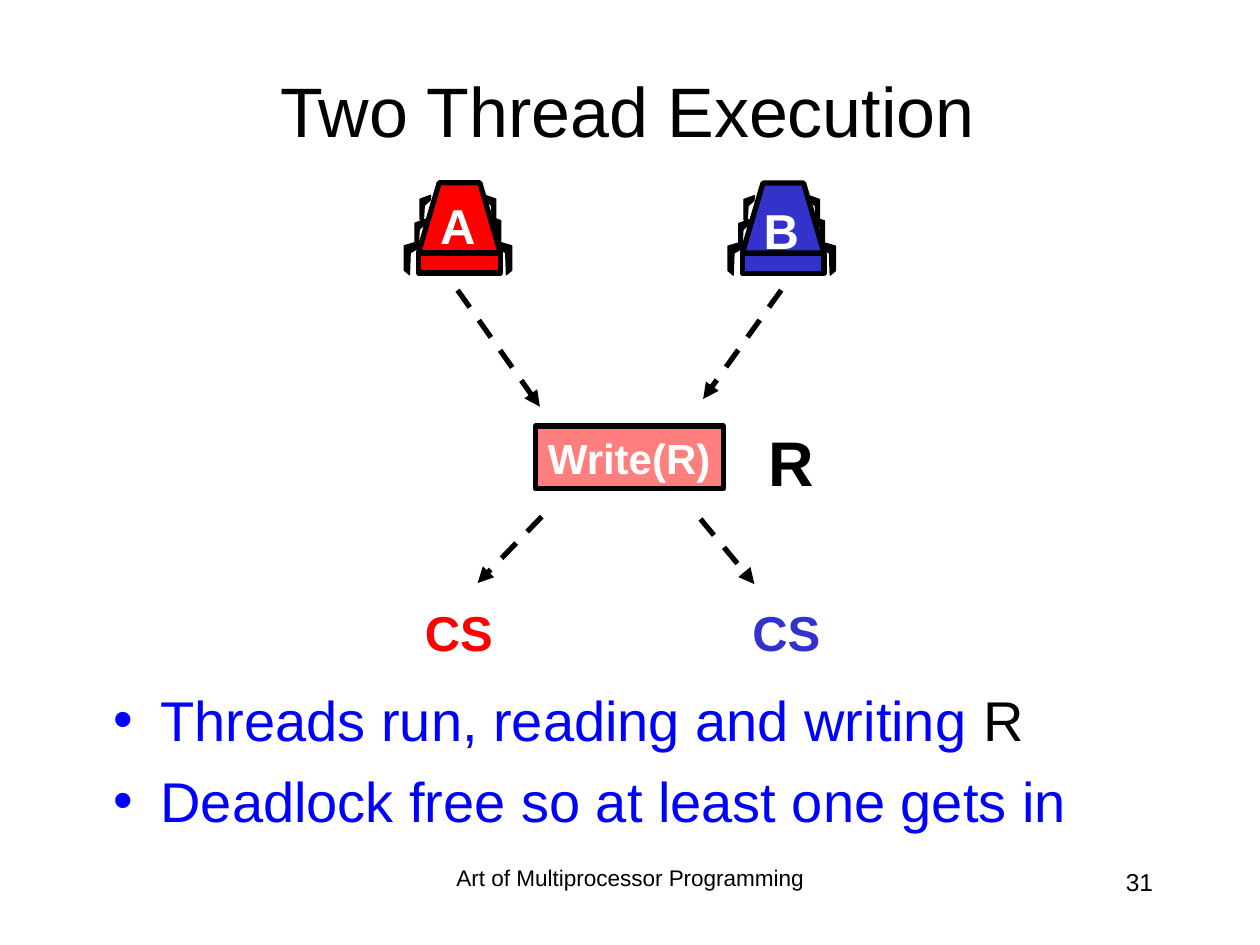
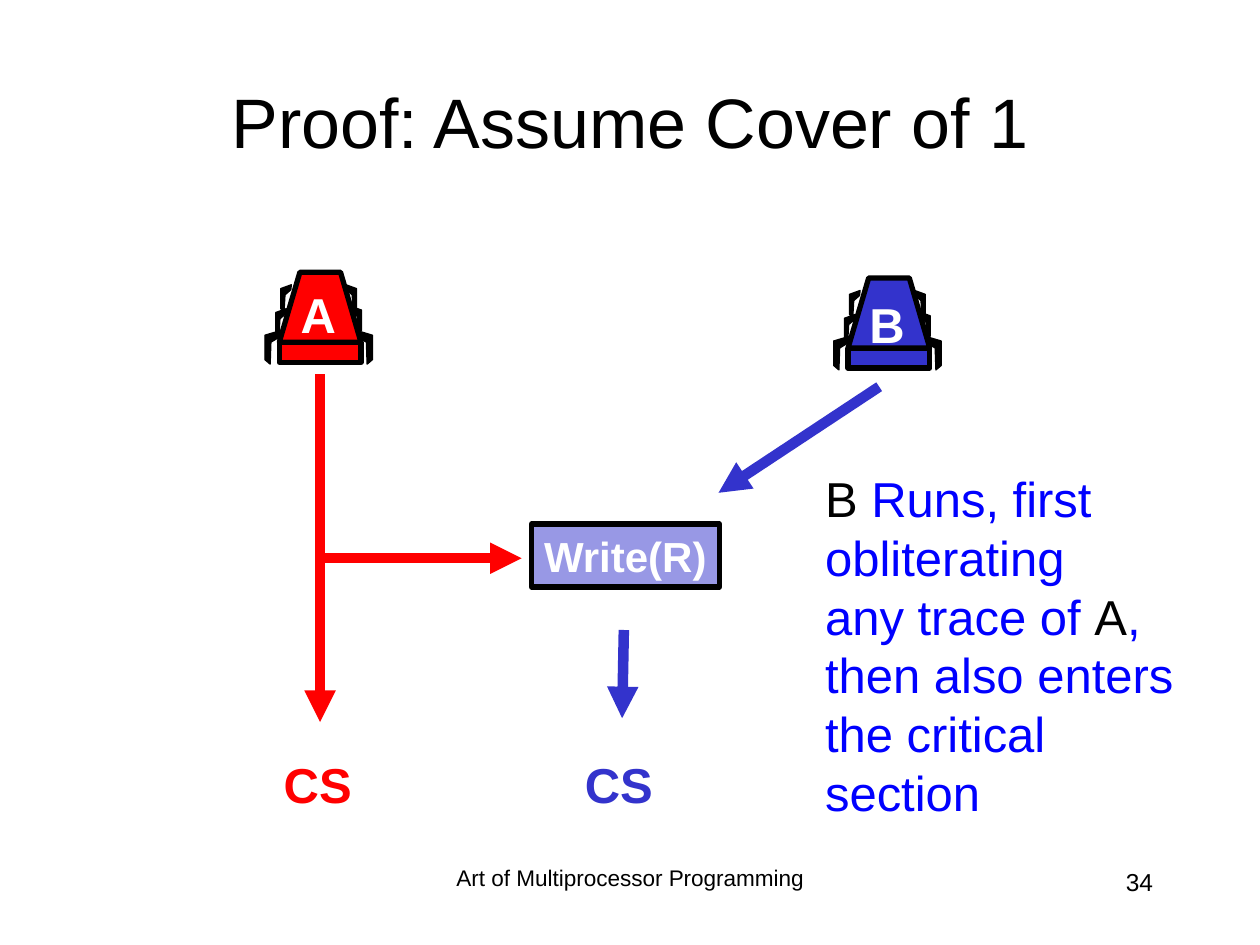
from dataclasses import dataclass

from pptx import Presentation
from pptx.dml.color import RGBColor
from pptx.enum import dml, shapes, text
from pptx.oxml import ns, xmlchemy
from pptx.util import Pt


@dataclass(frozen=True)
class Theme:
    face: str = "Arial"
    black: str = "000000"
    white: str = "FFFFFF"
    red: str = "FF0000"
    navy: str = "3333CC"
    blue: str = "0000FF"
    title: float = 40
    body: float = 32
    label: float = 28
    step: float = 24
    reg: float = 36
    foot: float = 12.9
    page: float = 14
    thin: float = 0.75
    edge: float = 3
    bold: float = 6


T = Theme()
LEFT, MID, RIGHT = text.PP_ALIGN.LEFT, text.PP_ALIGN.CENTER, text.PP_ALIGN.RIGHT
FOOTER = "Art of Multiprocessor Programming"

# Places are (left, top) or (left, top, width, height); arrows are (x1, y1, x2, y2).
SLIDES = [
    dict(
        title="Two Thread Execution", place=(52.5, 17.3, 612, 90), page="31",
        robots=[("B", T.navy, (424.2, 104.6), 6.3), ("A", T.red, (239.2, 104.4), 3.6)],
        step=((306, 243.4), T.red),
        arrows=[((261.5, 165.8, 308.5, 232.4), T.black),
                ((446.4, 165.8, 401.8, 228), T.black),
                ((400.3, 296.6, 431.1, 333.8), T.black),
                ((309.6, 295.2, 272.9, 333.2), T.black)],
        goals=[((235.4, 340.6), T.red), ((422.6, 340.6), T.navy)],
        reg=("R", (432, 238.3, 40.3, 50.4)),
        points=[[("Threads run, reading and writing ", T.blue), ("R", T.black)],
                [("Deadlock free so at least one gets in", T.blue)]],
    ),
    dict(
        title="Proof: Assume Cover of 1", place=(54, 23.8, 612, 90), page="34",
        robots=[("A", T.red, (159.6, 155.5), 3.6), ("B", T.navy, (484.6, 158.8), 6)],
        step=((303.8, 299.5), T.navy),
        arrows=[((182.9, 213.8, 182.9, 412.6), T.red),
                ((182.9, 319, 298.1, 319), T.red),
                ((502.4, 221, 410.6, 281.6), T.navy),
                ((356.5, 360, 355.5, 410.4), T.navy)],
        goals=[((154.8, 427.7), T.red), ((326.9, 427.7), T.navy)],
        note=[[("B", T.black), (" Runs, first obliterating", T.blue)],
              [("any trace of ", T.blue), ("A", T.black), (",", T.blue)],
              [("then also enters", T.blue)],
              [("the critical", T.blue)],
              [("section", T.blue)]],
    ),
]

# Robot outline, measured from the top left of its body
BODY = [(0, 40), (11.8, 0), (35, 0), (46.7, 40)]
BASE = (0, 40.2, 46.7, 11.4)
LONG = [(0, 0), (10, 3), (10, 17), (7, 19.5), (6.6, 7), (0.6, 3.4)]
SHORT = [(0, 0), (6, 2.2), (6, 13.7), (4.2, 15.8), (3.6, 5.8), (0.3, 2.9)]
BACK = [(LONG, 43.2, 33.1, 0), (SHORT, 41, 19.5, 1.4)]  # outline, x, y, left drop
FRONT = [(SHORT, 38.1, 7.2, 0)]
MIRROR = 45  # x of a right leg plus x of its left twin


def rgb(code):
    return RGBColor.from_string(code)


def pts(nums):
    return [Pt(n) for n in nums]


def add_xml(host, tag, **attrs):
    node = xmlchemy.OxmlElement(tag)
    for key, val in attrs.items():
        node.set(key, val)
    host.append(node)
    return node


def style(para, size, bold):
    for font in [para.font] + [run.font for run in para.runs]:
        font.name, font.size, font.bold = T.face, Pt(size), bold


def set_text(frame, paras, size, bold=False, align=LEFT, bullet=None):
    """Fill a text frame; each paragraph is a list of (words, colour) runs."""
    for i, runs in enumerate(paras):
        para = frame.paragraphs[0] if i == 0 else frame.add_paragraph()
        para.alignment = align
        if bullet:
            para.space_before = Pt(8)
            props = para._p.get_or_add_pPr()
            props.set("marL", str(Pt(27)))
            props.set("indent", str(-Pt(27)))
            add_xml(add_xml(props, "a:buClr"), "a:srgbClr", val=bullet)
            add_xml(props, "a:buFont", typeface=T.face)
            add_xml(props, "a:buChar", char="•")
        for words, color in runs:
            run = para.add_run()
            run.text = words
            run.font.color.rgb = rgb(color)
        style(para, size, bold)


def add_text(host, place, paras, size, wrap=True, **look):
    frame = host.add_textbox(*pts(place)).text_frame
    frame.word_wrap = wrap
    set_text(frame, paras, size, **look)
    return frame


def paint(shape, fill, width):
    shape.shadow.inherit = False
    shape.fill.solid()
    shape.fill.fore_color.rgb = rgb(fill)
    shape.line.color.rgb = rgb(T.black)
    shape.line.width = Pt(width)


def add_free(host, dots, fill, width):
    dots = [pts(dot) for dot in dots]
    pen = host.build_freeform(*dots[0], scale=1.0)
    pen.add_line_segments(dots[1:], close=True)
    paint(pen.convert_to_shape(), fill, width)


def add_legs(host, x, y, legs):
    """Draw right legs, then their mirrored left twins."""
    for left in (False, True):
        for dots, dx, dy, drop in legs:
            side = [(MIRROR - dx - a, dy + drop + b) if left else (dx + a, dy + b)
                    for a, b in dots]
            add_free(host, [(x + a, y + b) for a, b in side], T.black, T.thin)


def add_robot(slide, name, color, spot, drop):
    x, y = spot
    host = slide.shapes.add_group_shape().shapes
    add_legs(host, x, y, BACK)
    add_free(host, [(x + a, y + b) for a, b in BODY], color, T.edge)
    a, b, w, h = BASE
    base = host.add_shape(shapes.MSO_SHAPE.RECTANGLE, *pts((x + a, y + b, w, h)))
    paint(base, color, T.edge)
    add_legs(host, x, y, FRONT)
    add_text(host, (x + 5, y + drop, 34.6, 41), [[(name, T.white)]], T.label,
             wrap=False, bold=True, align=MID)


def add_step(slide, spot, color):
    box = slide.shapes.add_shape(shapes.MSO_SHAPE.RECTANGLE, *pts((*spot, 107.3, 36)))
    paint(box, color, T.edge)
    tint = box._element.spPr.find(ns.qn("a:solidFill"))[0]
    add_xml(tint, "a:alpha", val="50000")
    box.text_frame.word_wrap = False
    set_text(box.text_frame, [[("Write(R)", T.white)]], T.step, bold=True)


def add_arrow(slide, ends, color):
    """Black arrows are thin and dashed, coloured ones bold and solid."""
    link = slide.shapes.add_connector(shapes.MSO_CONNECTOR.STRAIGHT, *pts(ends))
    link.line.color.rgb = rgb(color)
    link.line.width = Pt(T.edge if color == T.black else T.bold)
    if color == T.black:
        link.line.dash_style = dml.MSO_LINE.DASH
    props = link._element.spPr
    add_xml(props.find(ns.qn("a:ln")), "a:tailEnd", type="triangle")
    add_xml(props, "a:effectLst")


def add_frame(slide, item):
    """Footer, page number and title, as on every slide."""
    foot = add_text(slide.shapes, (246, 492, 228, 36), [[(FOOTER, T.black)]],
                    T.foot, align=MID)
    foot.paragraphs[0].line_spacing = 0.9
    add_text(slide.shapes, (516, 492, 150, 36), [[(item["page"], T.black)]],
             T.page, align=RIGHT)
    head = slide.shapes.title
    head.left, head.top, head.width, head.height = pts(item["place"])
    head.text_frame.vertical_anchor = text.MSO_ANCHOR.MIDDLE
    set_text(head.text_frame, [[(item["title"], T.black)]], T.title, align=MID)


def build(deck, item):
    slide = deck.slides.add_slide(deck.slide_layouts[5])
    add_frame(slide, item)
    for robot in item["robots"]:
        add_robot(slide, *robot)
    for arrow in item["arrows"]:
        add_arrow(slide, *arrow)
    add_step(slide, *item["step"])
    for spot, color in item["goals"]:
        add_text(slide.shapes, (*spot, 53.3, 41), [[("CS", color)]], T.label,
                 wrap=False, bold=True, align=RIGHT)
    if "reg" in item:
        name, place = item["reg"]
        add_text(slide.shapes, place, [[(name, T.black)]], T.reg, wrap=False, bold=True)
    if "points" in item:
        add_text(slide.shapes, (57.6, 388, 612, 98.6), item["points"], T.body,
                 bullet=T.blue)
    if "note" in item:
        add_text(slide.shapes, (464.4, 264.2, 303, 208.8), item["note"], T.label)


def main():
    deck = Presentation()
    deck.slide_width, deck.slide_height = Pt(720), Pt(540)
    for item in SLIDES:
        build(deck, item)
    deck.save("out.pptx")


if __name__ == "__main__":
    main()
